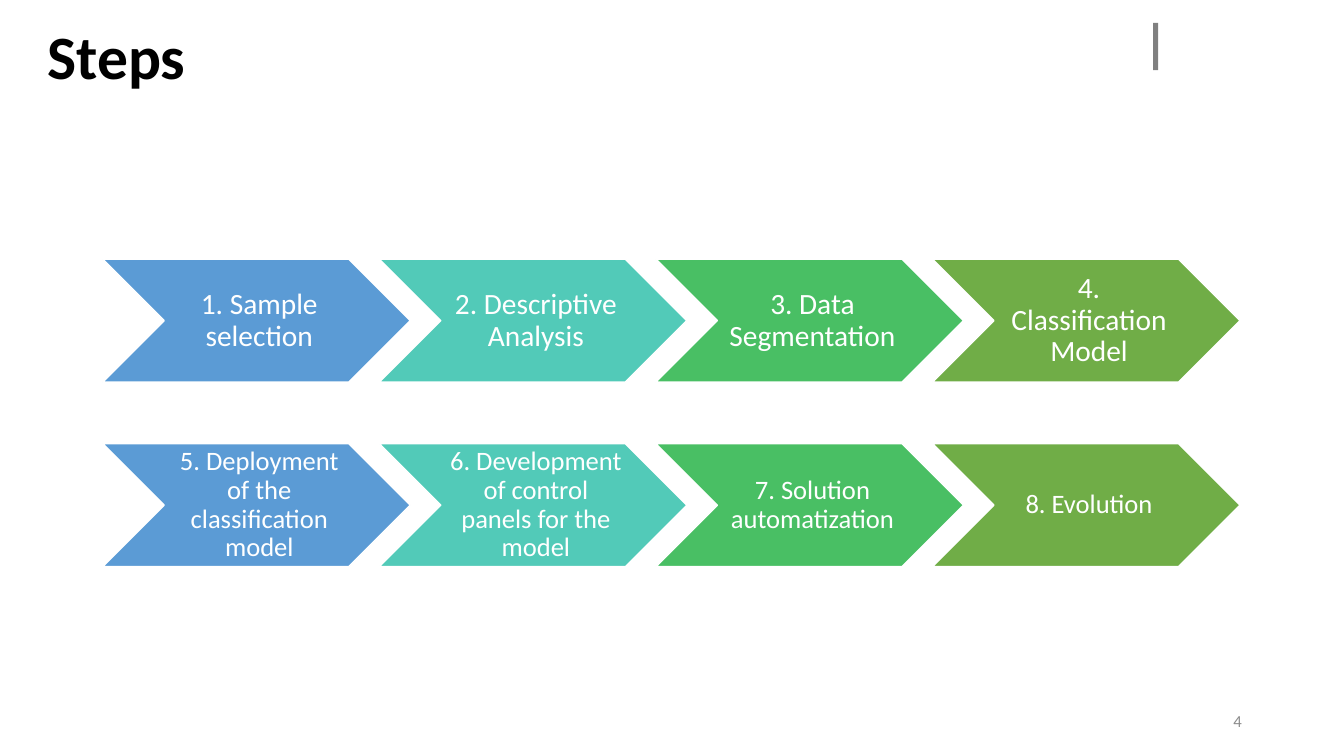
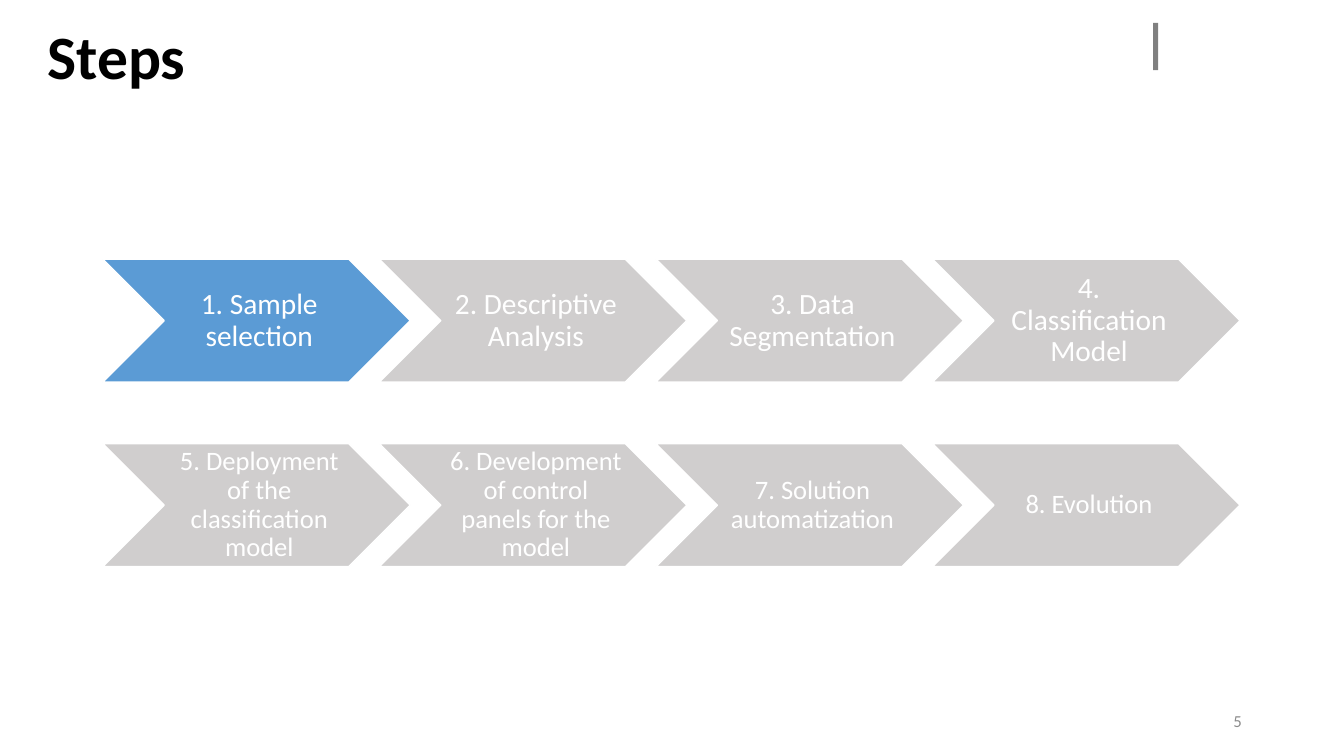
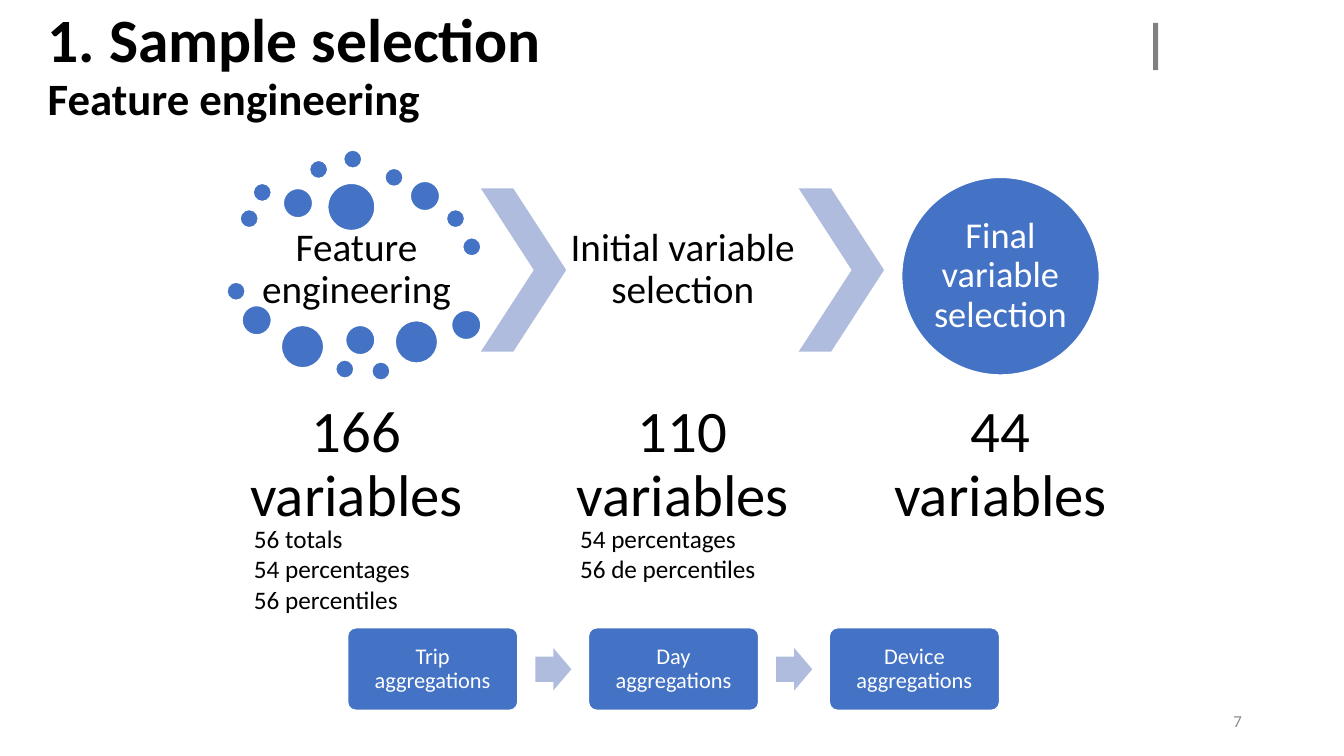
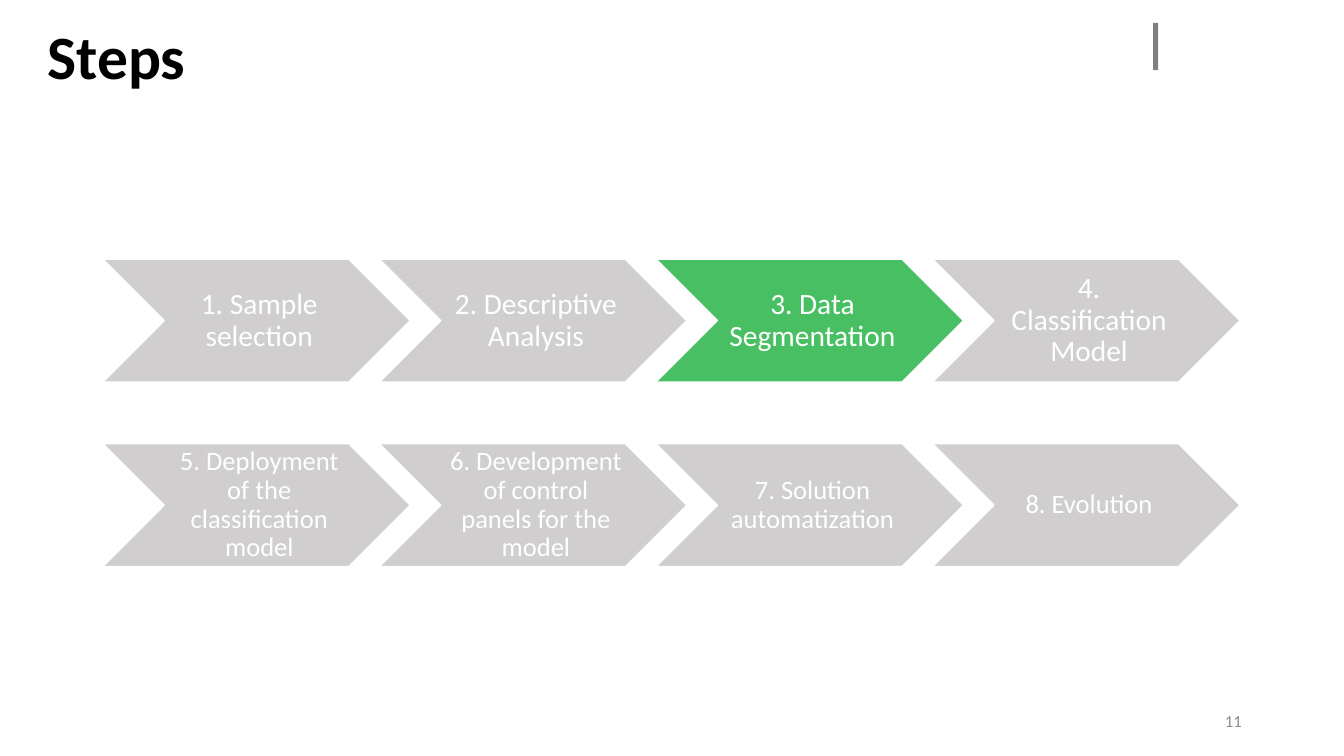
"""Builds four slides on the steps of a data project and its variable selection."""
from pptx import Presentation
from pptx.dml.color import RGBColor
from pptx.enum.shapes import MSO_SHAPE
from pptx.enum.text import MSO_ANCHOR, PP_ALIGN
from pptx.util import Cm, Pt

CHEVRON, OVAL = MSO_SHAPE.CHEVRON, MSO_SHAPE.OVAL
RECTANGLE, ROUNDED = MSO_SHAPE.RECTANGLE, MSO_SHAPE.ROUNDED_RECTANGLE
RIGHT_ARROW = MSO_SHAPE.RIGHT_ARROW
TOP, MIDDLE = MSO_ANCHOR.TOP, MSO_ANCHOR.MIDDLE
LEFT, CENTER, RIGHT = PP_ALIGN.LEFT, PP_ALIGN.CENTER, PP_ALIGN.RIGHT

FONT = "Calibri"
BLACK = RGBColor(0x00, 0x00, 0x00)
WHITE = RGBColor(0xFF, 0xFF, 0xFF)
BAR_GRAY = RGBColor(0x80, 0x80, 0x80)
NUMBER_GRAY = RGBColor(0x8C, 0x8C, 0x8C)
INACTIVE = RGBColor(0xD0, 0xCE, 0xCE)
BLUE = RGBColor(0x44, 0x72, 0xC4)
PALE_BLUE = RGBColor(0xB0, 0xBC, 0xDE)
STEP_COLORS = [
    RGBColor(0x5B, 0x9B, 0xD5),
    RGBColor(0x52, 0xCA, 0xB8),
    RGBColor(0x49, 0xBF, 0x64),
    RGBColor(0x70, 0xAD, 0x47),
]

STEP_ROWS = [
    (6.53, 21, ["1. Sample selection", "2. Descriptive Analysis",
                "3. Data Segmentation", "4. Classification Model"]),
    (11.18, 19, ["5. Deployment of the classification model",
                 "6. Development of control panels for the model",
                 "7. Solution automatization", "8. Evolution"]),
]
ALL_STEPS = range(1, 9)

SELECTION_STAGES = [
    (6.05, "Feature engineering", "166 variables",
     ["56 totals", "54 percentages", "56 percentiles"]),
    (14.27, "Initial variable selection", "110 variables",
     ["54 percentages", "56 de percentiles"]),
    (22.28, "Final variable selection", "44 variables", []),
]
AGGREGATIONS = ["Trip aggregations", "Day aggregations", "Device aggregations"]
DOTS_BY_DIAMETER = {
    0.46: [(6.05, 5.28), (6.38, 4.62), (7.8, 4.04), (8.66, 3.78), (9.7, 4.24),
           (11.25, 5.28), (11.66, 5.99), (5.72, 7.11), (8.46, 9.07), (9.37, 9.12)],
    0.74: [(7.14, 4.75), (10.34, 4.57), (6.1, 7.7), (8.71, 8.2), (11.38, 7.82)],
    1.07: [(7.09, 8.2), (9.96, 8.08)],
    1.19: [(8.26, 4.62)],
}


def write(shape, lines, size, color=BLACK, bold=False, align=CENTER,
          anchor=MIDDLE, spacing=0.9, insets=(0.25, 0.13, 0.25, 0.13)):
    """Put one paragraph per line into a shape, with insets in left, top, right, bottom order."""
    frame = shape.text_frame
    frame.word_wrap = True
    frame.vertical_anchor = anchor
    frame.margin_left, frame.margin_top, frame.margin_right, frame.margin_bottom = map(Cm, insets)
    for index, line in enumerate(lines):
        paragraph = frame.add_paragraph() if index else frame.paragraphs[0]
        paragraph.text = line
        paragraph.alignment = align
        paragraph.line_spacing = spacing
        for run in paragraph.runs:
            run.font.name = FONT
            run.font.size = Pt(size)
            run.font.bold = bold
            run.font.color.rgb = color


def add_text(slide, box, lines, size, **style):
    """Add a text box at left, top, width, height in centimetres."""
    shape = slide.shapes.add_textbox(*map(Cm, box))
    write(shape, lines, size, **style)
    return shape


def add_block(slide, kind, box, fill, outlined=True, adjustments=()):
    """Add a flat filled shape, with a white outline when asked."""
    shape = slide.shapes.add_shape(kind, *map(Cm, box))
    shape.shadow.inherit = False
    shape.fill.solid()
    shape.fill.fore_color.rgb = fill
    if outlined:
        shape.line.color.rgb = WHITE
        shape.line.width = Pt(1)
    else:
        shape.line.fill.background()
    for index, value in enumerate(adjustments):
        shape.adjustments[index] = value
    return shape


def add_framed_slide(presentation, title, number, subtitle=None):
    """Add a slide with its title, corner bar and page number."""
    slide = presentation.slides.add_slide(presentation.slide_layouts[6])
    top, height = (0.41, 2.57) if subtitle else (0.79, 1.4)
    text = f"{title}\v{subtitle}" if subtitle else title
    heading = add_text(slide, (0.95, top, 22.91, height), [text], 44, bold=True, align=LEFT)
    if subtitle:
        heading.text_frame.paragraphs[0].runs[1].font.size = Pt(32)
    add_block(slide, RECTANGLE, (29.06, 0.58, 0.13, 1.19), BAR_GRAY, outlined=False)
    add_text(slide, (23.93, 17.65, 7.62, 1.02), [str(number)], 12,
             color=NUMBER_GRAY, align=RIGHT, spacing=1.0)
    return slide


def add_steps_slide(presentation, number, active):
    """Add the overview of steps, with only the active ones in colour."""
    slide = add_framed_slide(presentation, "Steps", number)
    for row, (top, size, steps) in enumerate(STEP_ROWS):
        for column, step in enumerate(steps):
            step_number = row * len(steps) + column + 1
            fill = STEP_COLORS[column] if step_number in active else INACTIVE
            chevron = add_block(slide, CHEVRON, (2.59 + column * 6.97, top, 7.75, 3.1), fill)
            write(chevron, [step], size, color=WHITE, insets=(0.22, 0.08, 0.08, 0.08))


def add_selection_slide(presentation, number):
    """Add the slide that narrows the variables down in three stages."""
    slide = add_framed_slide(presentation, "1. Sample selection", number, "Feature engineering")
    stage_width, stage_top, stage_height = 5.87, 4.75, 4.11
    arrow_width, circle = 2.15, 4.98
    last = len(SELECTION_STAGES) - 1
    for index, (left, stage, total, details) in enumerate(SELECTION_STAGES):
        if index:
            add_block(slide, CHEVRON, (left - arrow_width, stage_top, arrow_width, stage_height),
                      PALE_BLUE, outlined=False, adjustments=[0.62])
        if index == last:
            circle_left = left + (stage_width - circle) / 2
            shape = add_block(slide, OVAL, (circle_left, 4.47, circle, circle), BLUE)
            write(shape, [stage], 26, color=WHITE, insets=(0, 0, 0, 0))
        else:
            add_text(slide, (left, stage_top, stage_width, stage_height), [stage], 28,
                     insets=(0.1,) * 4)
        add_text(slide, (left, 9.93, stage_width, 3.61), [total], 42, insets=(0.15,) * 4)
        if details:
            add_text(slide, (left + 0.1, 13.06, 5.16, 2.57), details, 18,
                     align=LEFT, anchor=TOP, spacing=1.0)

    for diameter, positions in DOTS_BY_DIAMETER.items():
        for left, top in positions:
            add_block(slide, OVAL, (left, top, diameter, diameter), BLUE)

    for index, label in enumerate(AGGREGATIONS):
        left = 8.76 + index * 6.07
        box = add_block(slide, ROUNDED, (left, 15.82, 4.29, 2.08), BLUE, adjustments=[0.1])
        write(box, [label], 16, color=WHITE, insets=(0.18,) * 4)
        if index < len(AGGREGATIONS) - 1:
            add_block(slide, RIGHT_ARROW, (left + 4.73, 16.33, 0.91, 1.07), PALE_BLUE,
                      outlined=False, adjustments=[0.6, 0.5])


def main():
    """Build and save the presentation."""
    presentation = Presentation()
    presentation.slide_width, presentation.slide_height = Cm(33.87), Cm(19.05)
    add_steps_slide(presentation, 4, ALL_STEPS)
    add_steps_slide(presentation, 5, [1])
    add_selection_slide(presentation, 7)
    add_steps_slide(presentation, 11, [3])
    presentation.save("out.pptx")


if __name__ == "__main__":
    main()
